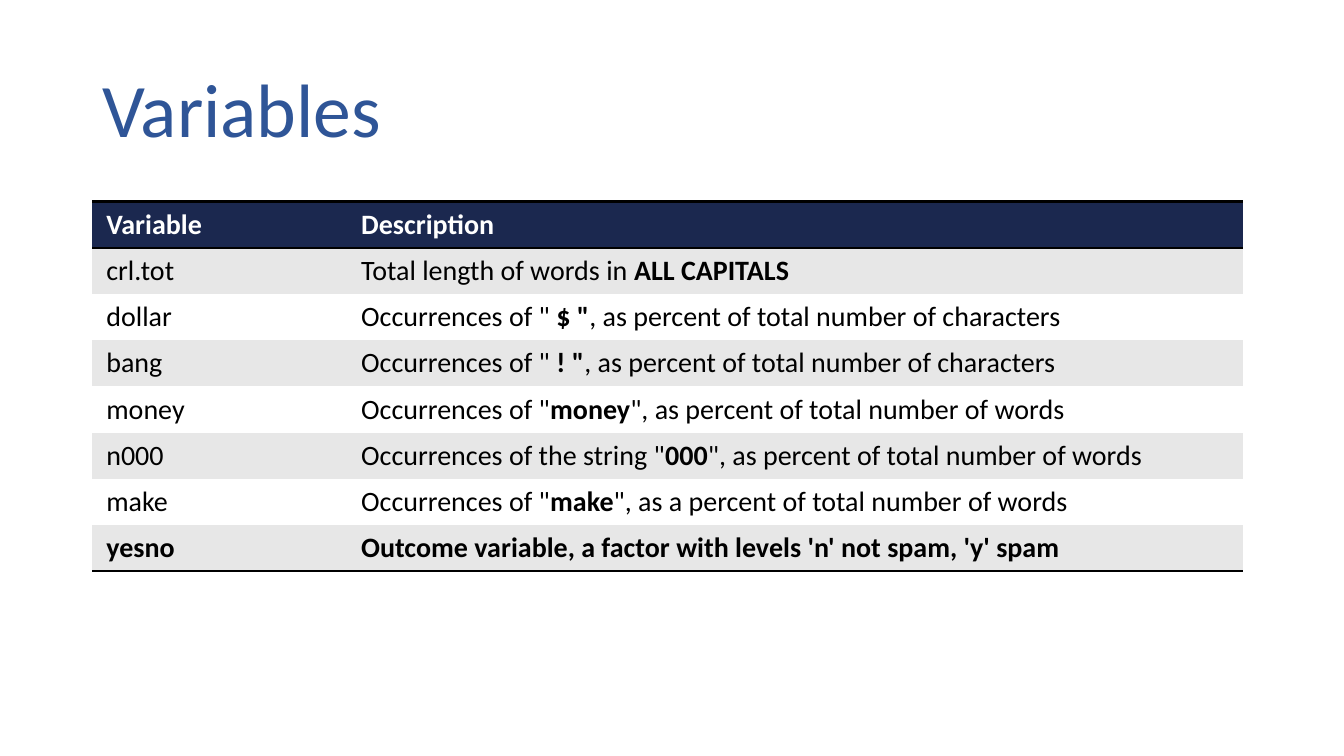
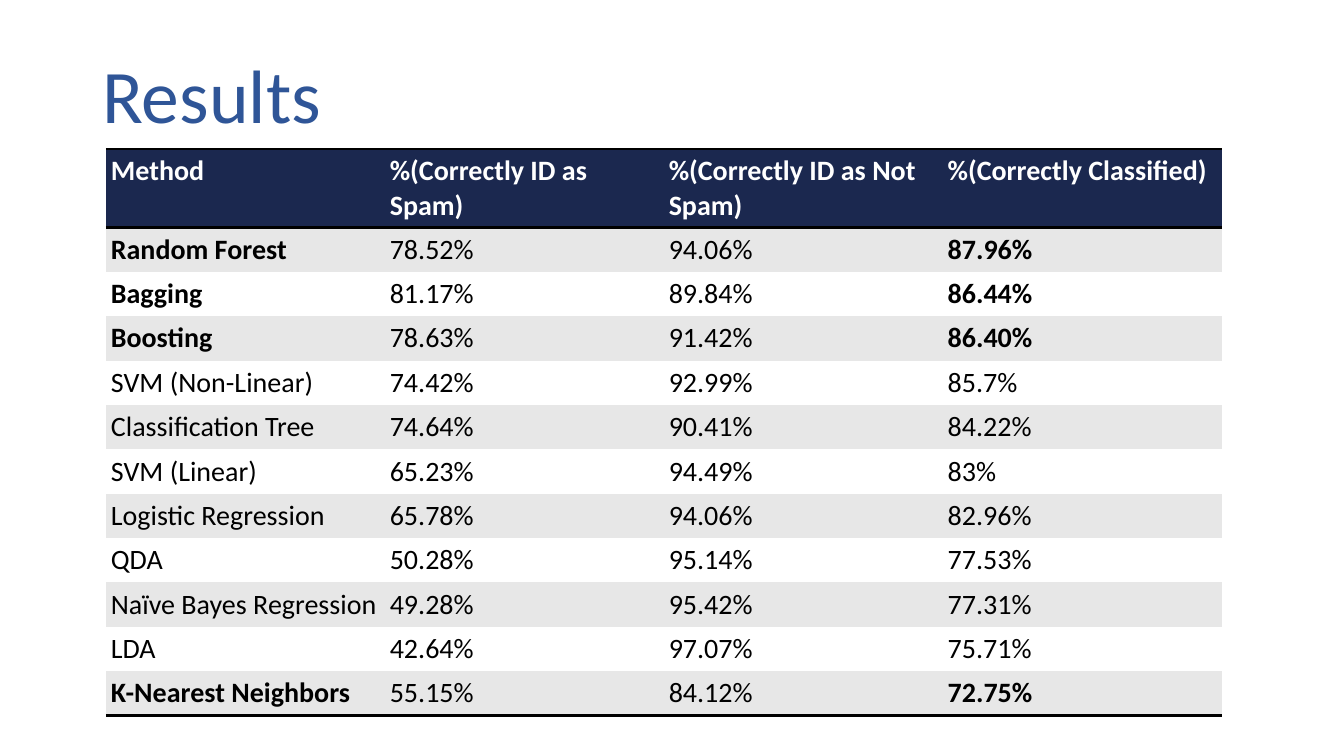
from lxml import etree
from pptx import Presentation
from pptx.dml.color import RGBColor
from pptx.enum import text
from pptx.oxml import ns
from pptx.util import Pt

BLUE = RGBColor(0x2F, 0x55, 0x97)
NAVY = RGBColor(0x1B, 0x28, 0x4F)
GRAY = RGBColor(0xE7, 0xE7, 0xE7)
WHITE = RGBColor(0xFF, 0xFF, 0xFF)
BLACK = RGBColor(0x00, 0x00, 0x00)
FONT = "Calibri"
NO_STYLE = "{2D5ABB26-0587-4C30-8999-92F81FD0307C}"

# Cell text between bars is bold.
VARIABLES = [
    ("|Variable|", "|Description|"),
    ("crl.tot", "Total length of words in |ALL CAPITALS|"),
    ("dollar", 'Occurrences of "| $ "|, as percent of total number of characters'),
    ("bang", 'Occurrences of "| ! "|, as percent of total number of characters'),
    ("money", 'Occurrences of "|money|", as percent of total number of words'),
    ("n000", 'Occurrences of the string "|000|", as percent of total number of words'),
    ("make", 'Occurrences of "|make|", as a percent of total number of words'),
    ("|yesno|", "|Outcome variable, a factor with levels 'n' not spam, 'y' spam|"),
]
RESULTS = [
    ("|Method|", "|%(Correctly ID as Spam)|", "|%(Correctly ID as Not Spam)|",
     "|%(Correctly Classified)|"),
    ("|Random Forest|", "78.52%", "94.06%", "|87.96%|"),
    ("|Bagging|", "81.17%", "89.84%", "|86.44%|"),
    ("|Boosting|", "78.63%", "91.42%", "|86.40%|"),
    ("SVM (Non-Linear)", "74.42%", "92.99%", "85.7%"),
    ("Classification Tree", "74.64%", "90.41%", "84.22%"),
    ("SVM (Linear)", "65.23%", "94.49%", "83%"),
    ("Logistic Regression", "65.78%", "94.06%", "82.96%"),
    ("QDA", "50.28%", "95.14%", "77.53%"),
    ("Naïve Bayes Regression", "49.28%", "95.42%", "77.31%"),
    ("LDA", "42.64%", "97.07%", "75.71%"),
    ("|K-Nearest Neighbors|", "55.15%", "84.12%", "|72.75%|"),
]
MIDDLE, TOP = text.MSO_ANCHOR.MIDDLE, text.MSO_ANCHOR.TOP
SLIDES = [
    ("Variables", 28.8, VARIABLES, 66, 144, (182, 640), 33, 33, (10, 4.3), MIDDLE),
    ("Results", 18.7, RESULTS, 75.6, 106.5, (199.25,) * 4, 56, 31.7, (3.6, 3.6), TOP),
]


def add_border(cell, side):
    ln = etree.SubElement(cell._tc.get_or_add_tcPr(), ns.qn("a:ln" + side), w=str(Pt(2)))
    fill = etree.SubElement(ln, ns.qn("a:solidFill"))
    etree.SubElement(fill, ns.qn("a:srgbClr"), val=str(BLACK))


def style_run(r, size, color, bold=False):
    r.font.name = FONT
    r.font.size = Pt(size)
    r.font.bold = bold
    r.font.color.rgb = color


prs = Presentation()
prs.slide_width, prs.slide_height = Pt(960), Pt(540)

for title, title_top, rows, left, top, widths, header_h, row_h, margins, anchor in SLIDES:
    s = prs.slides.add_slide(prs.slide_layouts[6])
    tf = s.shapes.add_textbox(Pt(66), Pt(title_top), Pt(828), Pt(104.4)).text_frame
    tf.word_wrap = True
    tf.vertical_anchor = MIDDLE
    p = tf.paragraphs[0]
    p.text = title
    p.line_spacing = 0.9
    style_run(p.runs[0], 54, BLUE)

    heights = [header_h] + [row_h] * (len(rows) - 1)
    frame = s.shapes.add_table(len(rows), len(widths), Pt(left), Pt(top),
                               Pt(sum(widths)), Pt(sum(heights)))
    for style in frame.element.iter(ns.qn("a:tableStyleId")):
        style.text = NO_STYLE
    table = frame.table
    for column, width in zip(table.columns, widths):
        column.width = Pt(width)
    for i, (values, height) in enumerate(zip(rows, heights)):
        table.rows[i].height = Pt(height)
        for j, value in enumerate(values):
            cell = table.cell(i, j)
            cell.margin_left = cell.margin_right = Pt(margins[0])
            cell.margin_top = cell.margin_bottom = Pt(margins[1])
            cell.vertical_anchor = anchor
            if i == 0:
                add_border(cell, "T")
            if i in (0, len(rows) - 1):
                add_border(cell, "B")
            cell.fill.solid()
            cell.fill.fore_color.rgb = NAVY if i == 0 else GRAY if i % 2 else WHITE
            p = cell.text_frame.paragraphs[0]
            for k, part in enumerate(value.split("|")):
                if part:
                    r = p.add_run()
                    r.text = part
                    style_run(r, 20, BLACK if i else WHITE, k % 2 == 1)

prs.save("out.pptx")
